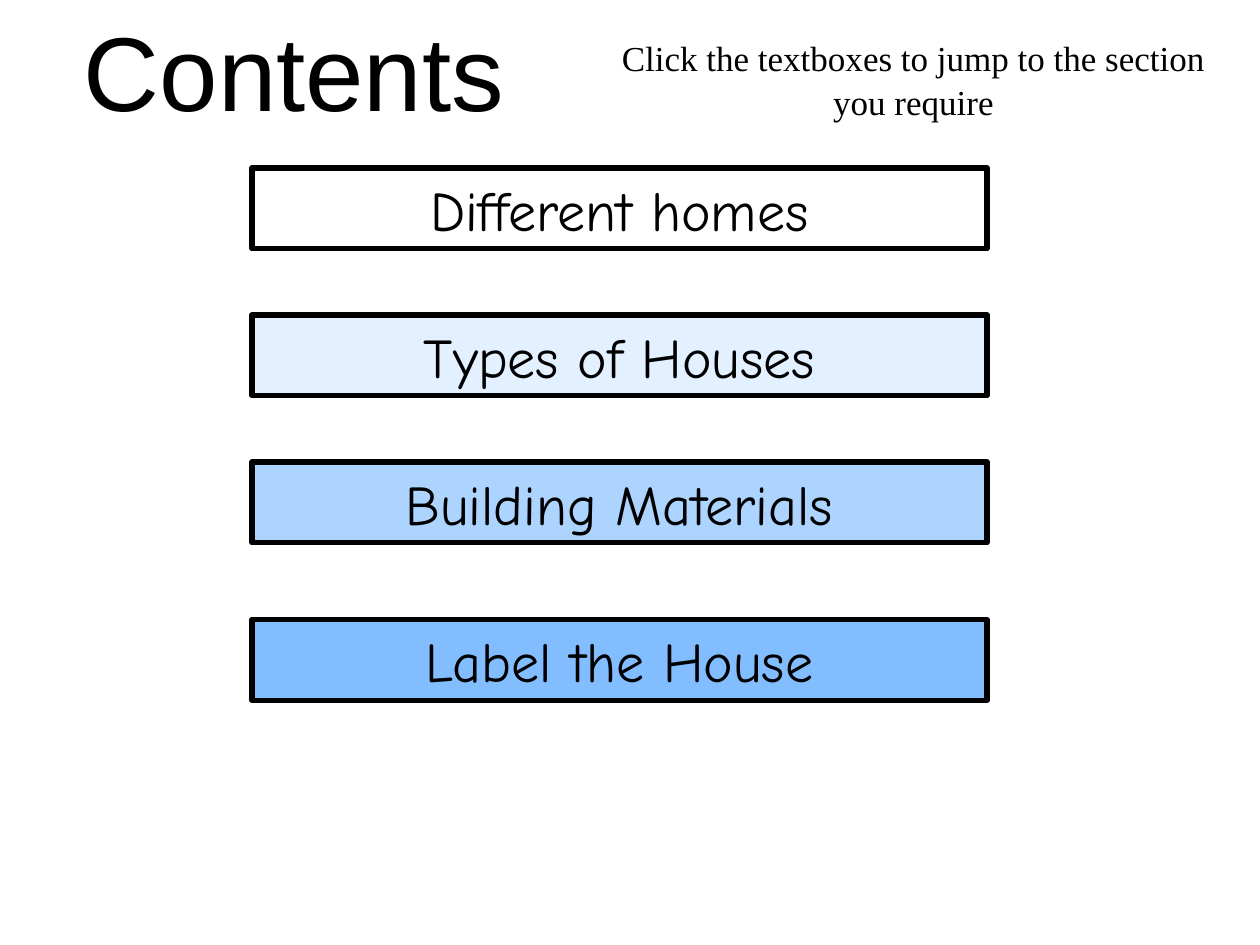
from dataclasses import dataclass

from pptx import Presentation, util as u
from pptx.dml.color import RGBColor
from pptx.enum import shapes, text


@dataclass(frozen=True)
class Theme:
    """Colours, fonts and type sizes of the contents slide."""
    ink: str = "000000"
    sections: tuple = ("FFFFFF", "E3F0FF", "ADD4FF", "81BDFF")
    title: tuple = ("Arial", 60)
    note: tuple = ("Times New Roman", 20)
    button: tuple = ("Comic Neue", 32)
    border: float = 3


class ContentsSlide:
    """Places elements on a grid of 120 columns by 90 rows."""
    columns, rows = 120, 90

    def __init__(self, presentation, theme):
        """Add a slide that has only a title placeholder."""
        self.theme = theme
        self.column = presentation.slide_width / self.columns
        self.row = presentation.slide_height / self.rows
        self.slide = presentation.slides.add_slide(presentation.slide_layouts[5])

    def cell(self, left, top, width, height):
        """Turn grid units into slide lengths."""
        return (int(left * self.column), int(top * self.row),
                int(width * self.column), int(height * self.row))

    def set_wording(self, shape, wording, style):
        """Fill a shape with one centred, styled paragraph."""
        name, size = style
        frame = shape.text_frame
        frame.text = wording
        paragraph = frame.paragraphs[0]
        font = paragraph.runs[0].font
        frame_format = {
            "word_wrap": True, "auto_size": text.MSO_AUTO_SIZE.NONE,
            "vertical_anchor": text.MSO_ANCHOR.BOTTOM,
            "margin_left": u.Inches(0.1), "margin_right": u.Inches(0.1),
            "margin_top": u.Inches(0.05), "margin_bottom": u.Inches(0.05)}
        paragraph_format = {"alignment": text.PP_ALIGN.CENTER, "line_spacing": 1.05}
        font_format = {"name": name, "size": u.Pt(size)}
        for target, values in ((frame, frame_format), (paragraph, paragraph_format),
                               (font, font_format)):
            for key, value in values.items():
                setattr(target, key, value)
        font.color.rgb = RGBColor.from_string(self.theme.ink)

    def title(self, wording, *place):
        """Move and format the title placeholder."""
        shape = self.slide.shapes.title
        for key, value in zip(("left", "top", "width", "height"), self.cell(*place)):
            setattr(shape, key, value)
        self.set_wording(shape, wording, self.theme.title)

    def note(self, wording, *place):
        """Add a plain text box."""
        shape = self.slide.shapes.add_textbox(*self.cell(*place))
        self.set_wording(shape, wording, self.theme.note)

    def button(self, wording, colour, *place):
        """Add a bordered section button."""
        shape = self.slide.shapes.add_shape(
            shapes.MSO_SHAPE.RECTANGLE, *self.cell(*place))
        shape.shadow.inherit = False
        shape.fill.solid()
        shape.fill.fore_color.rgb = RGBColor.from_string(colour)
        shape.line.color.rgb = RGBColor.from_string(self.theme.ink)
        shape.line.width = u.Pt(self.theme.border)
        self.set_wording(shape, wording, self.theme.button)


def main():
    """Build and save the contents slide."""
    presentation = Presentation()
    presentation.slide_width = u.Inches(10)
    presentation.slide_height = u.Inches(7.5)
    theme = Theme()
    contents = ContentsSlide(presentation, theme)
    contents.title("Contents", 0, 0, 56, 13.2)
    contents.note("Click the textboxes to jump to the section you require",
                  57, 3, 60, 9.25)
    sections = ("Different homes", "Types of Houses",
                "Building Materials", "Label the House")
    tops = (16, 30, 44, 59)
    for wording, colour, top in zip(sections, theme.sections, tops):
        contents.button(wording, colour, 24, top, 70, 7.7)
    presentation.save("out.pptx")


if __name__ == "__main__":
    main()
